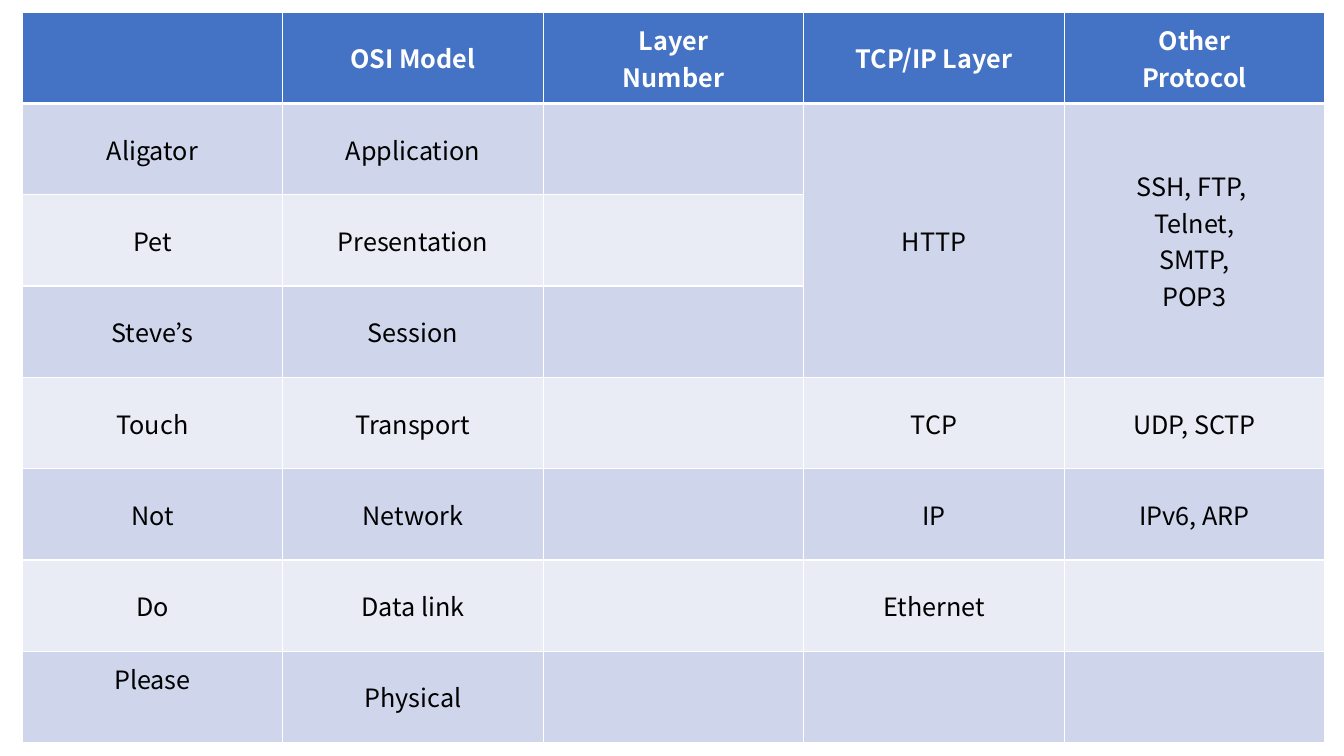
from pptx import Presentation
from pptx.dml.color import RGBColor
from pptx.enum.text import MSO_ANCHOR, PP_ALIGN
from pptx.oxml.ns import qn
from pptx.util import Inches, Pt
from lxml.etree import SubElement

FONT = "Noto Sans CJK KR"
HEADER, DARK_BAND, LIGHT_BAND = "4472C4", "CFD5EA", "E9EBF5"
WHITE, BLACK = "FFFFFF", "000000"

ROWS = [
    ["", "OSI Model", "Layer\nNumber", "TCP/IP Layer", "Other\nProtocol"],
    ["Aligator", "Application", "", "HTTP", "SSH, FTP, \nTelnet,\nSMTP,\nPOP3"],
    ["Pet", "Presentation", "", "", ""],
    ["Steve’s", "Session", "", "", ""],
    ["Touch", "Transport", "", "TCP", "UDP, SCTP"],
    ["Not", "Network", "", "IP", "IPv6, ARP"],
    ["Do", "Data link", "", "Ethernet", ""],
    ["Please", "Physical", "", "", ""],
]


def rgb(color):
    """Turn a hex string into a colour."""
    return RGBColor.from_string(color)


def add_border(cell, side, width):
    """Draw a white border on one side (L, R, T or B) of a cell."""
    ln = SubElement(cell._tc.get_or_add_tcPr(), qn("a:ln" + side), w=str(Pt(width)))
    fill = SubElement(ln, qn("a:solidFill"))
    SubElement(fill, qn("a:srgbClr"), val=WHITE)


prs = Presentation()
prs.slide_width, prs.slide_height = Inches(13.33), Inches(7.5)
s = prs.slides.add_slide(prs.slide_layouts[6])

frame = s.shapes.add_table(len(ROWS), len(ROWS[0]), Inches(0.22), Inches(0.12),
                           Inches(12.92), Inches(7.25))
table = frame.table

for i, row in enumerate(ROWS):
    is_header = i == 0
    band = HEADER if is_header else DARK_BAND if i % 2 else LIGHT_BAND
    for j, text in enumerate(row):
        cell = table.cell(i, j)
        for side in "LRTB":
            thick = (is_header and side == "B") or (i == 1 and side == "T")
            add_border(cell, side, 3 if thick else 1)
        cell.fill.solid()
        cell.fill.fore_color.rgb = rgb(band)
        cell.vertical_anchor = MSO_ANCHOR.MIDDLE
        cell.text_frame.text = text
        for p in cell.text_frame.paragraphs:
            p.alignment = PP_ALIGN.CENTER
            p.font.size = Pt(18)
            for r in p.runs:
                r.font.name = FONT
                r.font.size = Pt(18)
                r.font.bold = is_header
                r.font.color.rgb = rgb(WHITE if is_header else BLACK)

# The top three OSI layers share one TCP/IP layer and one protocol list
for j in (3, 4):
    table.cell(1, j).merge(table.cell(3, j))

# "Please" sits above the middle of its row
table.cell(7, 0).margin_bottom = Inches(0.41)

prs.save("out.pptx")
